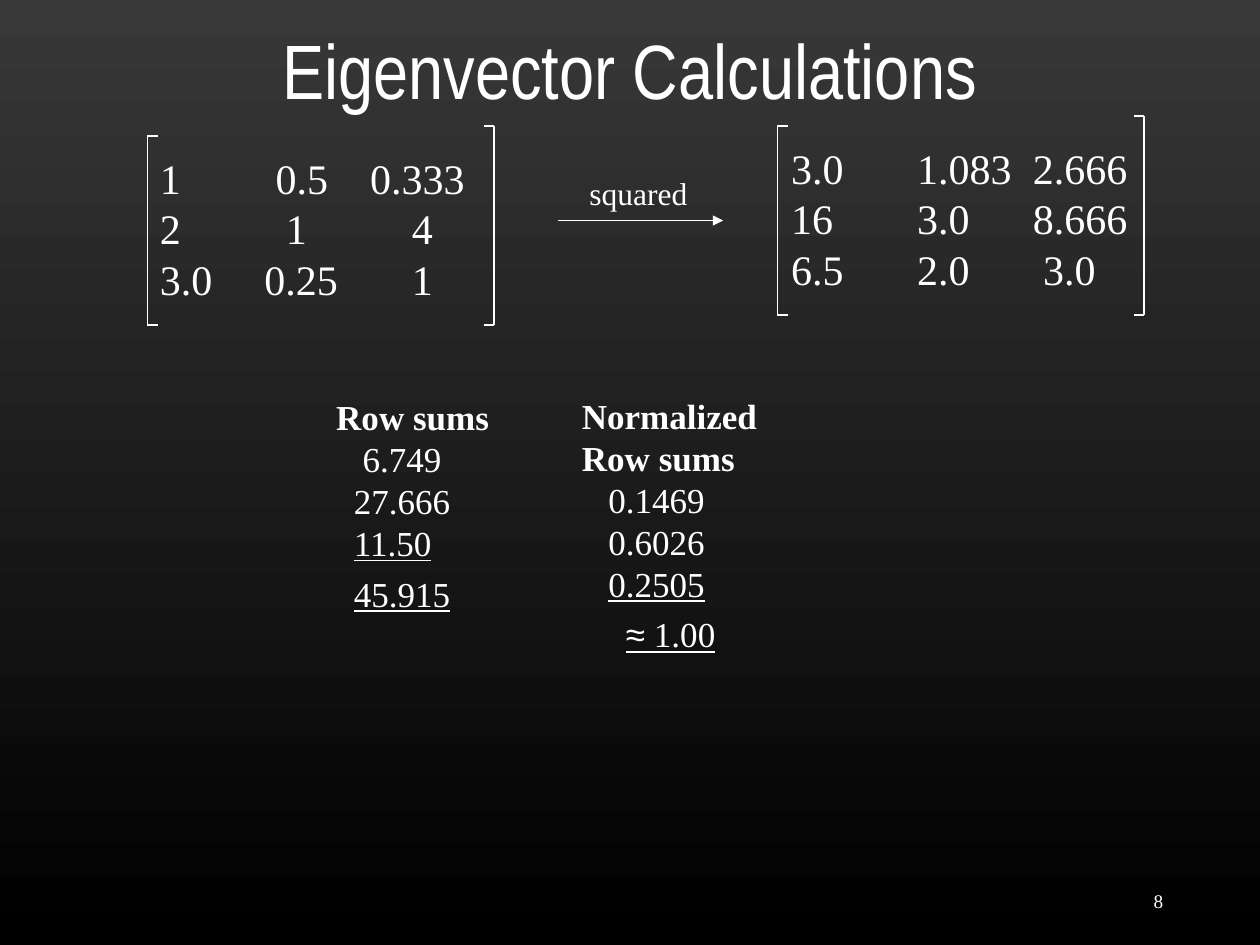
from lxml.etree import SubElement as Sub
from pptx import Presentation
from pptx.dml.color import RGBColor as RGB
from pptx.enum.shapes import MSO_CONNECTOR as Link
from pptx.enum.text import MSO_ANCHOR as Anchor, PP_ALIGN as Align
from pptx.oxml.ns import qn
from pptx.util import Inches as In, Pt

WHITE = RGB(0xFF, 0xFF, 0xFF)
GREY = RGB(0x38, 0x38, 0x38)
BLACK = RGB(0, 0, 0)
ROMAN, SANS, NARROW = "Times New Roman", "Arial", "Arial Narrow"
WIDE, HIGH = 10, 7.5
TICK = 0.08

# Each cell is (offset from the left margin, text); None continues the cell before.
BASE = [
    [(0, "1"), (0.92, "0.5"), (1.67, "0.333")],
    [(0, "2"), (1, "1"), (2, "4")],
    [(0, "3.0"), (0.83, "0.25"), (2, "1")],
]
SQUARE = [
    [(0, "3.0"), (1, "1.083"), (1.92, "2.666")],
    [(0, "16"), (1, "3.0"), (1.92, "8.666")],
    [(0, "6.5"), (1, "2.0"), (2, "3.0")],
]
SUMS = [
    [(0, "Row sums")],
    [(0.21, "6.749")],
    [(0.14, "27.666")],
    [(0.14, "11.50"), (0.96, "")],
    [(0.14, "45.915"), (1.04, "")],
]
NORMS = [
    [(0, "Normalized")],
    [(0, "Row sums")],
    [(0.21, "0.1469")],
    [(0.21, "0.6026")],
    [(0.21, "0.2505"), (1.18, "")],
    [(0.35, "≈"), (None, " 1.00"), (1.54, "")],
]
GRIDS = [(BASE, 1.17, 1.16, 2.8), (SQUARE, 6.18, 1.08, 3)]
LISTS = [(SUMS, 2.57, 3.09, 1.6, 1), (NORMS, 4.52, 3.08, 1.9, 2)]
SIDES = [(1.17, 1.08, 2.58, 1), (3.92, 1, 2.58, -1),
         (6.17, 1, 2.5, 1), (9.08, 0.92, 2.5, -1)]
LABELS = [
    ("squared", 4.58, 1.33, 1.1, 0.4, 18, ROMAN, Align.LEFT, Anchor.TOP, 1),
    ("Eigenvector Calculations", 0.5, 0.21, 9, 0.79, 44, NARROW,
     Align.CENTER, Anchor.TOP, 0.9),
    ("8", 8.25, 6.95, 1.08, 0.4, 11, ROMAN, Align.RIGHT, Anchor.MIDDLE, 1),
]


def add_box(slide, x, y, w, h):
    frame = slide.shapes.add_textbox(In(x), In(y), In(w), In(h)).text_frame
    frame.word_wrap = True
    return frame


def add_run(para, text, size, face=ROMAN, bold=False, under=False):
    run = para.add_run()
    run.text = text
    font = run.font
    font.size, font.name = Pt(size), face
    font.bold, font.underline = bold, under
    font.color.rgb = WHITE


def add_rows(slide, rows, x, y, w, size, heads=0, totals=0):
    frame = add_box(slide, x, y, w, 0.1 + len(rows) * size / 60)
    for i, row in enumerate(rows):
        para = frame.paragraphs[0] if i == 0 else frame.add_paragraph()
        if totals and i == len(rows) - 1:
            para.line_spacing = 1.2
        stops = Sub(para._p.get_or_add_pPr(), qn("a:tabLst"))
        for start, text in row:
            if start:
                Sub(stops, qn("a:tab"), pos=str(In(start)), algn="l")
                text = "\t" + text
            face = SANS if "≈" in text else ROMAN
            add_run(para, text, size, face, i < heads,
                    i >= len(rows) - totals)


def add_line(slide, x1, y1, x2, y2):
    line = slide.shapes.add_connector(
        Link.STRAIGHT, In(x1), In(y1), In(x2), In(y2))
    line.line.color.rgb = WHITE
    line.line.width = Pt(1)
    Sub(line._element.spPr, qn("a:effectLst"))
    return line


def main():
    deck = Presentation()
    deck.slide_width, deck.slide_height = In(WIDE), In(HIGH)
    slide = deck.slides.add_slide(deck.slide_layouts[6])
    fill = slide.background.fill
    fill.gradient()
    fill.gradient_angle = 270
    for stop, tone in zip(fill.gradient_stops, (GREY, BLACK)):
        stop.color.rgb = tone

    for rows, x, y, w in GRIDS:
        add_rows(slide, rows, x, y, w, 24)
    for x, top, base, way in SIDES:
        add_line(slide, x, top, x, base)
        for y in (top, base):
            add_line(slide, x, y, x + way * TICK, y)
    arrow = add_line(slide, 4.43, 1.75, 5.74, 1.75)
    Sub(arrow.line._get_or_add_ln(), qn("a:tailEnd"), type="triangle")

    for rows, x, y, w, heads in LISTS:
        add_rows(slide, rows, x, y, w, 20, heads, 2)
    for text, x, y, w, h, size, face, align, anchor, gap in LABELS:
        frame = add_box(slide, x, y, w, h)
        frame.vertical_anchor = anchor
        para = frame.paragraphs[0]
        para.alignment, para.line_spacing = align, gap
        add_run(para, text, size, face)
    deck.save("out.pptx")


if __name__ == "__main__":
    main()
